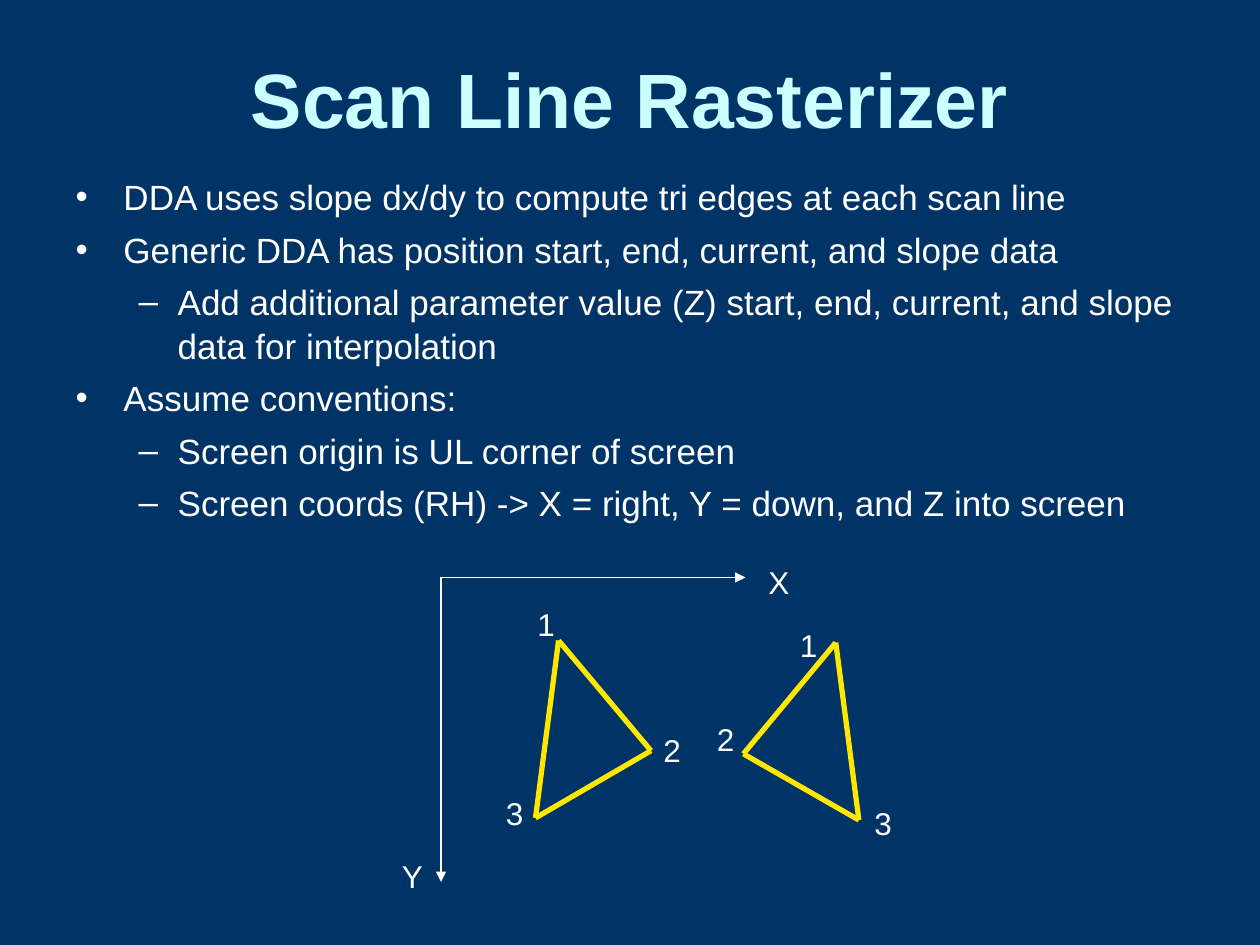
from dataclasses import dataclass
from itertools import combinations

from pptx import Presentation
from pptx.dml.color import RGBColor
from pptx.enum.shapes import MSO_CONNECTOR
from pptx.enum.text import MSO_ANCHOR, MSO_AUTO_SIZE, PP_ALIGN
from pptx.oxml.ns import qn
from pptx.util import Inches, Pt
from lxml.etree import SubElement

UNIT = Inches(10) / 120


@dataclass(frozen=True)
class Theme:
    """Colours, font and type sizes of the deck."""
    background: RGBColor = RGBColor.from_string("003366")
    title: RGBColor = RGBColor.from_string("CCFFFF")
    text: RGBColor = RGBColor.from_string("FFFFFF")
    edge: RGBColor = RGBColor.from_string("FFE701")
    font: str = "Arial"
    title_size: int = 44
    body_size: int = 20
    label_size: int = 18
    edge_width: float = 3
    axis_width: float = 0.75


THEME = Theme()

BULLETS = [
    (0, "DDA uses slope dx/dy to compute tri edges at each scan line"),
    (0, "Generic DDA has position start, end, current, and slope data"),
    (1, "Add additional parameter value (Z) start, end, current, and slope data for interpolation"),
    (0, "Assume conventions:"),
    (1, "Screen origin is UL corner of screen"),
    (1, "Screen coords (RH) -> X = right, Y = down, and Z into screen"),
]
BULLET_STYLES = [("•", 0.38, -0.38), ("–", 0.81, -0.31)]

TRIANGLES = [
    {"corners": [(53.2, 61), (62, 71.5), (51, 77.9)],
     "labels": [(50, 57), (62, 69), (47, 75)]},
    {"corners": [(79.6, 61.2), (70.8, 71.8), (81.8, 78.1)],
     "labels": [(75, 59), (67.1, 68), (82.1, 76)]},
]
ORIGIN = (42, 55)
AXES = [("X", (71, 55), (72, 53)), ("Y", (42, 84), (37.1, 81))]


def grid(*cells):
    """Turn columns and rows of the 120 by 90 grid into lengths."""
    return [round(cell * UNIT) for cell in cells]


def place(shape, left, top, width, height):
    """Move and size a shape on the grid."""
    shape.left, shape.top, shape.width, shape.height = grid(left, top, width, height)


def style_runs(para, size, color, bold=False):
    """Format every run of a paragraph."""
    for span in para.runs:
        span.font.name = THEME.font
        span.font.size = Pt(size)
        span.font.bold = bold
        span.font.color.rgb = color


def fill_title(title, text):
    """Write the centred slide title."""
    place(title, 6, 3.6, 108, 11.4)
    frame = title.text_frame
    frame.text = text
    frame.auto_size = MSO_AUTO_SIZE.NONE
    frame.vertical_anchor = MSO_ANCHOR.MIDDLE
    para = frame.paragraphs[0]
    para.alignment = PP_ALIGN.CENTER
    style_runs(para, THEME.title_size, THEME.title, bold=True)


def set_bullet(para, mark, margin, indent):
    """Give a paragraph its bullet and hanging indent."""
    properties = para._p.get_or_add_pPr()
    properties.set("marL", str(Inches(margin)))
    properties.set("indent", str(Inches(indent)))
    color = SubElement(properties, qn("a:buClr"))
    SubElement(color, qn("a:srgbClr"), val=str(THEME.text))
    SubElement(properties, qn("a:buFont"), typeface=THEME.font)
    SubElement(properties, qn("a:buChar"), char=mark)


def fill_body(body, bullets):
    """Write the two-level bullet list."""
    place(body, 6, 16, 108, 71)
    frame = body.text_frame
    frame.text = "\n".join(text for _, text in bullets)
    frame.auto_size = MSO_AUTO_SIZE.NONE
    frame.vertical_anchor = MSO_ANCHOR.TOP
    for para, (level, _) in zip(frame.paragraphs, bullets):
        para.level = level
        para.space_before = Pt(5)
        para.line_spacing = 1.04
        set_bullet(para, *BULLET_STYLES[level])
        style_runs(para, THEME.body_size, THEME.text)


def add_line(shapes, start, end, color, width, arrow=False):
    """Draw a straight line between two grid points."""
    line = shapes.add_connector(MSO_CONNECTOR.STRAIGHT, *grid(*start, *end))
    line.line.color.rgb = color
    line.line.width = Pt(width)
    if arrow:
        SubElement(line.line._get_or_add_ln(), qn("a:tailEnd"), type="triangle")
    SubElement(line._element.spPr, qn("a:effectLst"))


def add_label(shapes, text, corner):
    """Add a short label whose upper left corner is a grid point."""
    box = shapes.add_textbox(*grid(*corner, 4.1, 4.8))
    frame = box.text_frame
    frame.text = text
    frame.word_wrap = False
    frame.auto_size = MSO_AUTO_SIZE.SHAPE_TO_FIT_TEXT
    style_runs(frame.paragraphs[0], THEME.label_size, THEME.text)


def add_triangle(shapes, corners, labels):
    """Draw a triangle's edges and number its corners."""
    for start, end in combinations(corners, 2):
        add_line(shapes, start, end, THEME.edge, THEME.edge_width)
    for number, corner in enumerate(labels, 1):
        add_label(shapes, str(number), corner)


def main():
    """Build and save the slide."""
    deck = Presentation()
    deck.slide_width, deck.slide_height = grid(120, 90)
    page = deck.slides.add_slide(deck.slide_layouts[1])
    page.background.fill.solid()
    page.background.fill.fore_color.rgb = THEME.background

    fill_title(page.shapes.title, "Scan Line Rasterizer")
    fill_body(page.placeholders[1], BULLETS)
    triangles = page.shapes.add_group_shape()
    for triangle in TRIANGLES:
        add_triangle(triangles.shapes, **triangle)
    for name, tip, corner in AXES:
        add_line(page.shapes, ORIGIN, tip, THEME.text, THEME.axis_width, arrow=True)
        add_label(page.shapes, name, corner)
    deck.save("out.pptx")


if __name__ == "__main__":
    main()
